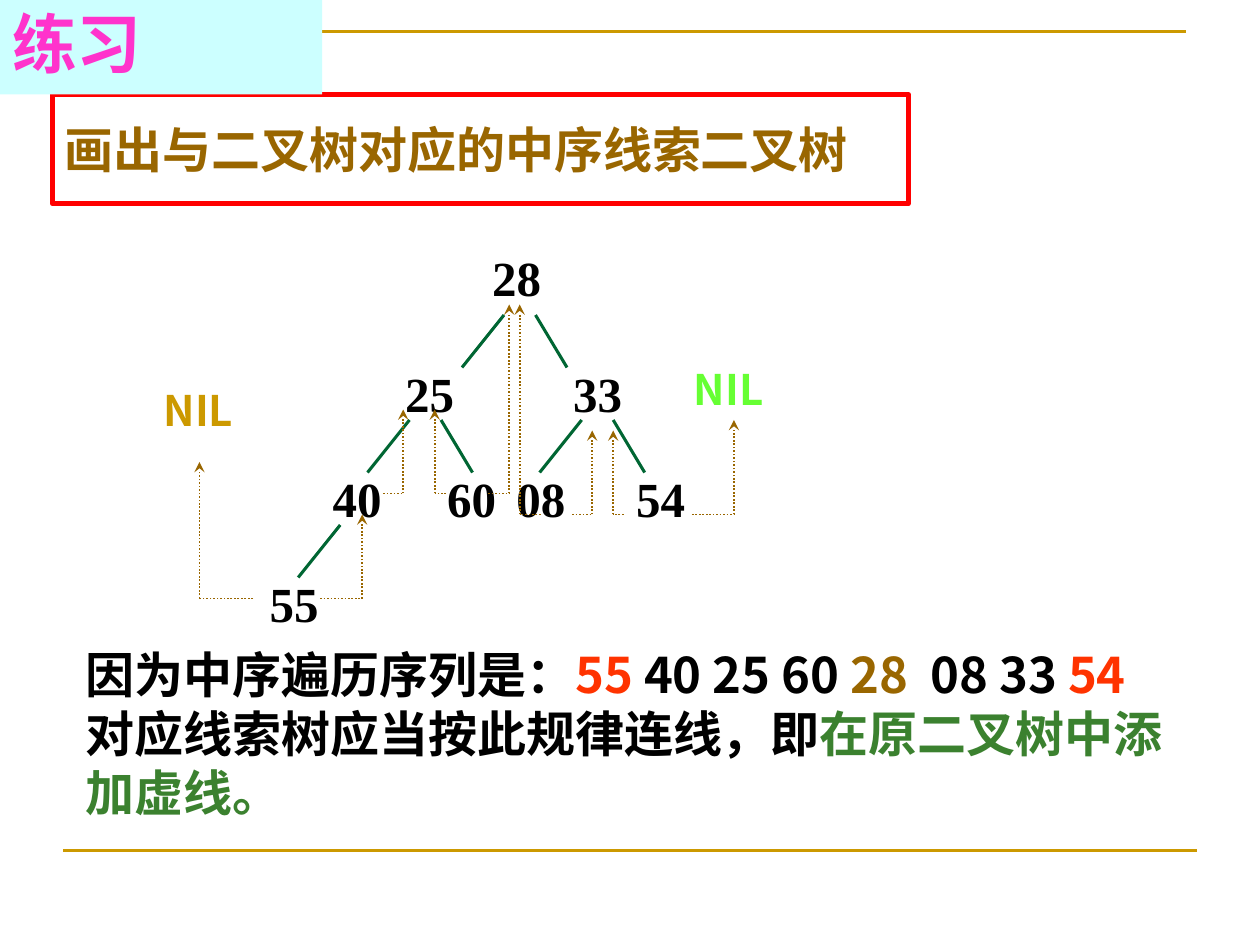
"""Build the slide of an in-order threaded binary tree exercise."""
import pptx
import pptx.util
import pptx.dml.color
import pptx.enum.dml
import pptx.enum.shapes
import pptx.enum.text
import pptx.oxml.ns
import lxml.etree

COLS, ROWS = 120, 90
WIDTH, HEIGHT = pptx.util.Inches(10), pptx.util.Inches(7.5)
CELL = WIDTH // COLS
SANS, SERIF = "Noto Sans CJK SC", "Times New Roman"
COLORS = {"gold": "CC9900", "brown": "996600", "red": "FF0000", "black": "000000",
          "edge": "006633", "orange": "FF3300", "green": "3B812F", "lime": "66FF33",
          "aqua": "CCFFFF", "pink": "FF33CC"}

TITLE = [[("画出与二叉树对应的中序线索二叉树", "brown")]]
BANNER = [[("练习", "pink")]]
ANSWER = [
    [("因为中序遍历序列是：", "black"), ("55", "orange"), (" 40 25 60 ", "black"),
     ("28", "brown"), ("  08 33 ", "black"), ("54", "orange")],
    [("对应线索树应当按此规律连线，即", "black"), ("在原二叉树中添加虚线。", "green")],
]
NODES = [("28", 45.7, 23), ("25", 37.4, 34), ("40", 30.5, 44), ("55", 24.5, 54),
         ("60", 41.4, 44), ("33", 53.4, 34), ("08", 48, 44), ("54", 59.4, 44)]
NILS = [("gold", 14.4, 36), ("lime", 64.9, 34)]
LEFT_EDGES = [(39, 40), (48, 30), (32.4, 50), (55.4, 40)]
RIGHT_EDGES = [(42, 40), (51, 30), (58.4, 40)]
THREADS = [(24.1, 19, 57, 44), (30.5, 34.5, 57, 49), (36.5, 38.4, 47, 39),
           (46.5, 48.5, 47, 29), (42.5, 41.4, 47, 39), (59.4, 58.4, 49, 41),
           (51.5, 49.5, 49, 29), (54.5, 56.4, 49, 41), (65.9, 69.9, 49, 40)]

prs = pptx.Presentation()
prs.slide_width, prs.slide_height = WIDTH, HEIGHT
s = prs.slides.add_slide(prs.slide_layouts[6])


def cells(*values):
    return [round(v * CELL) for v in values]


def color(name):
    return pptx.dml.color.RGBColor.from_string(COLORS[name])


def add_text(paragraphs, box, size=28, font=SANS, wrap=True, panel=False,
             fill=None, line=None, spacing=None):
    if panel:
        sp = s.shapes.add_shape(pptx.enum.shapes.MSO_SHAPE.RECTANGLE, *cells(*box))
        sp.shadow.inherit = False
    else:
        sp = s.shapes.add_textbox(*cells(*box))
    if fill:
        sp.fill.solid()
        sp.fill.fore_color.rgb = color(fill)
    else:
        sp.fill.background()
    if line:
        sp.line.color.rgb = color(line)
        sp.line.width = pptx.util.Pt(3)
    else:
        sp.line.fill.background()
    tf = sp.text_frame
    tf.word_wrap = wrap
    anchor = pptx.enum.text.MSO_ANCHOR
    tf.vertical_anchor = anchor.MIDDLE if panel else anchor.TOP
    for i, runs in enumerate(paragraphs):
        p = tf.add_paragraph() if i else tf.paragraphs[0]
        p.alignment = pptx.enum.text.PP_ALIGN.LEFT
        if spacing:
            p.line_spacing = spacing
        for text, name in runs:
            r = p.add_run()
            r.text = text
            r.font.size = pptx.util.Pt(size)
            r.font.bold = True
            r.font.color.rgb = color(name)
            r.font.name = font
            ea = lxml.etree.SubElement(r.font._element, pptx.oxml.ns.qn("a:ea"))
            ea.set("typeface", font)
    return sp


def add_line(start, end, name, width, dotted=False, arrow=False):
    c = s.shapes.add_connector(pptx.enum.shapes.MSO_CONNECTOR.STRAIGHT,
                               *cells(*start, *end))
    c.line.color.rgb = color(name)
    c.line.width = pptx.util.Pt(width)
    if dotted:
        c.line.dash_style = pptx.enum.dml.MSO_LINE.ROUND_DOT
    if arrow:
        tail = lxml.etree.SubElement(c.line._get_or_add_ln(), pptx.oxml.ns.qn("a:tailEnd"))
        tail.set("type", "stealth")
    lxml.etree.SubElement(c._element.spPr, pptx.oxml.ns.qn("a:effectLst"))


builder = s.shapes.build_freeform(5, 11, scale=CELL)
builder.add_line_segments([(5, 3), (113, 3)], close=False)
frame = builder.convert_to_shape()
frame.shadow.inherit = False
frame.fill.background()
frame.line.color.rgb = color("gold")
frame.line.width = pptx.util.Pt(1.5)
add_line((6, 81), (114, 81), "gold", 1.5)

add_text(TITLE, (5, 9, 81.5, 10.4), panel=True, line="red")
for label, x, y in NODES:
    add_text([[(label, "black")]], (x, y, 7.1, 6.8), font=SERIF, wrap=False)
for starts, dx in ((LEFT_EDGES, -4), (RIGHT_EDGES, 3)):
    for x, y in starts:
        add_line((x, y), (x + dx, y + 5), "edge", 1.75)
add_text(ANSWER, (7, 60.8, 107, 23.6))
for name, x, y in NILS:
    add_text([[("NIL", name)]], (x, y, 9.6, 6), size=24, wrap=False)
for x, turn, y, tip in THREADS:
    add_line((x, y), (turn, y), "brown", 1, dotted=True)
    add_line((turn, y), (turn, tip), "brown", 1, dotted=True, arrow=True)
add_text(BANNER, (0, 0, 30.7, 9), size=37, panel=True, fill="aqua", spacing=0.9)

prs.save("out.pptx")
